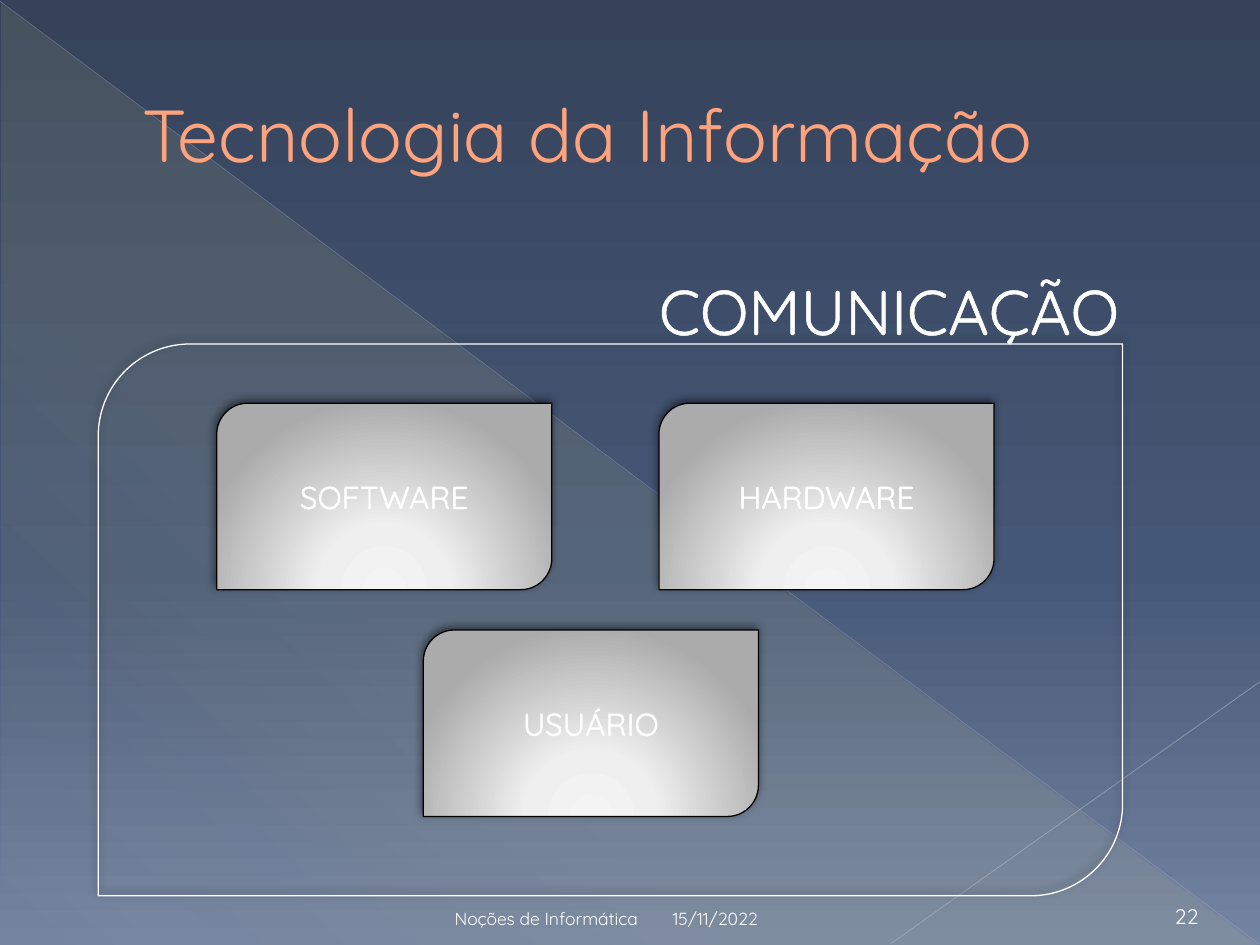
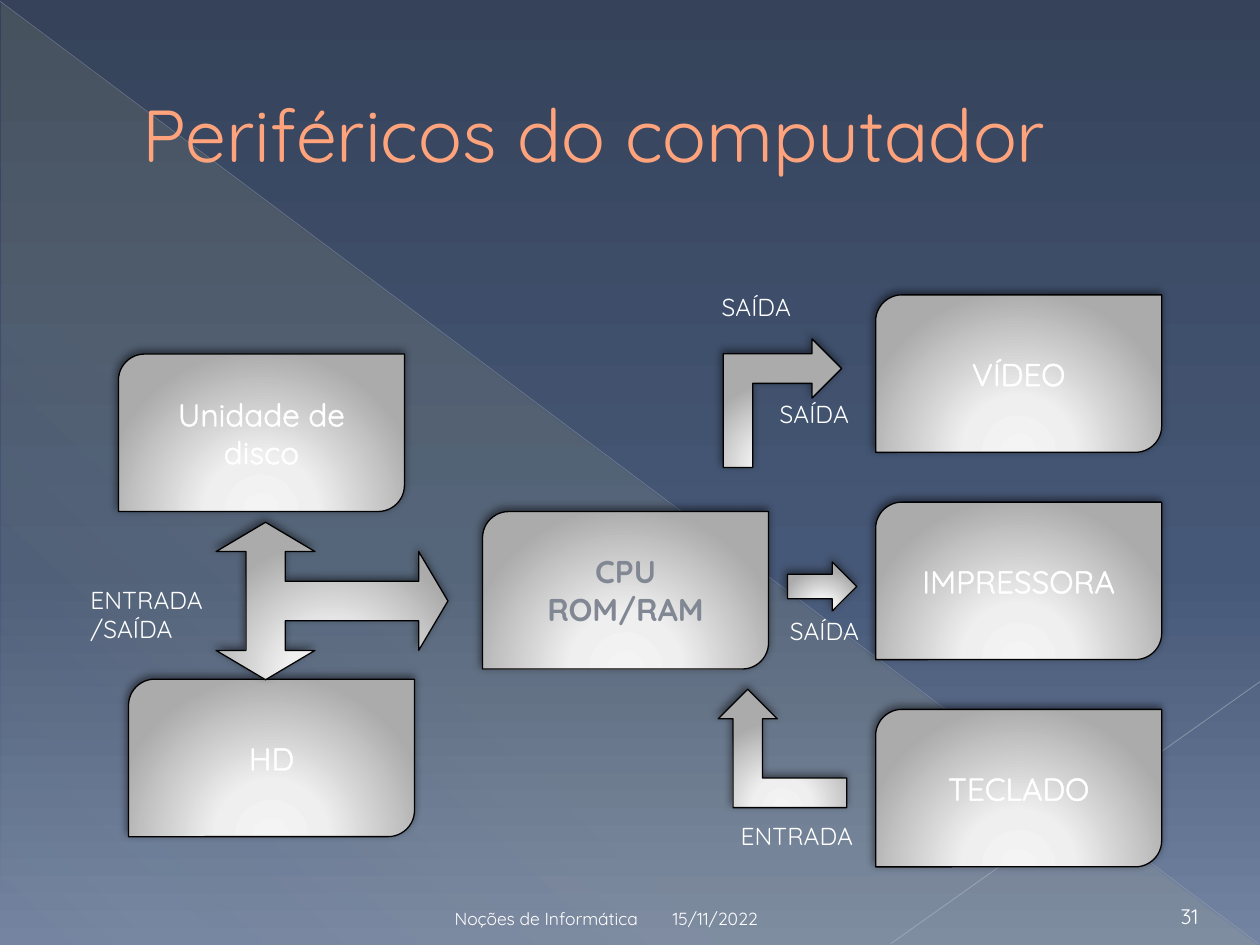
from lxml.etree import SubElement as Sub
from pptx import Presentation
from pptx.dml.color import RGBColor
from pptx.enum.shapes import MSO_CONNECTOR as Link, MSO_SHAPE as Form
from pptx.enum.text import MSO_ANCHOR as Anchor, PP_ALIGN as Align
from pptx.oxml import parse_xml
from pptx.oxml.ns import nsdecls, qn
from pptx.util import Inches, Pt

FONT = "Quicksand"
HUE = {"white": "FFFFFF", "black": "000000", "title": "FFA37C", "rim": "B05D26",
       "cpu": "818894", "long": "BABDC4", "short": "C1C4CA"}

# Gradient stops: position, colour, opacity (all in percent)
SKY = [(0, "35425A", 100), (60, "465877", 100), (100, "7383A2", 100)]
GLOW = [(0, "FFF39D", 10), (70, "FFF39D", 8), (100, "FFF39D", 1)]
STEEL = [(0, "F4F4F4", 100), (34, "EFEFEF", 100), (100, "ABABAB", 100)]

# Diagonal lines: start, end, colour, width, opacity
RAYS = [((0, 0.01), (9.99, 7.49), "long", 0.39, 35),
        ((10, 5.41), (7.07, 7.49), "short", 0.47, 45)]
COURSE, DATE = "Noções de Informática", "15/11/2022"

FRAME = (0.78, 2.73, 8.13, 4.38)
PARTS_SIZE = (2.66, 1.48)
PARTS = [("HARDWARE", 5.23, 3.2), ("SOFTWARE", 1.72, 3.2), ("USUÁRIO", 3.36, 5)]

UNIT_SIZE = (2.27, 1.25)
UNITS = [("Unidade de disco", 0.94, 2.81), ("HD", 1.02, 5.39)]
CPU = ("CPU\vROM/RAM", 3.83, 4.06)
OUTER = ["VÍDEO", "IMPRESSORA", "TECLADO"]
OUTER_LEFT, OUTER_TOP, OUTER_STEP = 6.95, 2.34, 1.645

# Arrows: form, place, turn, mirrored, adjustments
ARROWS = [
    (Form.LEFT_RIGHT_UP_ARROW, (2.01, 3.85, 1.25, 1.84), 90, False, (0.25, 0.314, 0.25)),
    (Form.BENT_UP_ARROW, (5.7, 2.73, 1.02, 0.94), 90, True, ()),
    (Form.BENT_UP_ARROW, (5.7, 5.47, 1.02, 0.94), 0, True, ()),
    (Form.UP_ARROW, (6.33, 4.38, 0.39, 0.55), 90, False, ()),
]
FLOWS = [("SAÍDA", (5.63, 2.27, 1.17, 0.34)), ("ENTRADA", (5.78, 6.47, 1.48, 0.34)),
         ("SAÍDA", (6.17, 4.84, 1.17, 0.34)), ("SAÍDA", (6.09, 3.12, 1.17, 0.34)),
         ("ENTRADA/SAÍDA", (0.62, 4.59, 1.17, 0.57))]


def rgb(name):
    return RGBColor.from_string(HUE[name])


def span(*nums):
    return [Inches(n) for n in nums]


def grad(stops, angle=None):
    """Gradient fill: linear at an angle, or round from below the shape."""
    marks = "".join(
        f'<a:gs pos="{pos * 1000}"><a:srgbClr val="{tone}">'
        f'<a:alpha val="{alpha * 1000}"/></a:srgbClr></a:gs>'
        for pos, tone, alpha in stops)
    if angle is None:
        way = ('<a:path path="circle"><a:fillToRect l="50000" t="155000" '
               'r="50000" b="-55000"/></a:path>')
    else:
        way = f'<a:lin ang="{angle * 60000}" scaled="0"/>'
    return parse_xml(f'<a:gradFill {nsdecls("a")} rotWithShape="0">'
                     f'<a:gsLst>{marks}</a:gsLst>{way}</a:gradFill>')


def paint(owner, props, stops, angle=None):
    owner.fill.solid()
    props.replace(props.find(qn("a:solidFill")), grad(stops, angle))


def shade(shape):
    shape.shadow.inherit = False
    glow = shape._element.spPr.find(qn("a:effectLst"))
    cast = Sub(glow, qn("a:outerShdw"), blurRad=str(Pt(5)), dist=str(Pt(2)),
               dir=str(245 * 60000), rotWithShape="0")
    tone = Sub(cast, qn("a:srgbClr"), val=HUE["black"])
    Sub(tone, qn("a:alpha"), val="50000")


def write(shape, text, size, color="white", align=Align.LEFT, anchor=Anchor.TOP,
          bold=False, edge=None):
    """Fill the shape with one paragraph; edge is (colour, width) of the letters."""
    frame = shape.text_frame
    frame.word_wrap = True
    frame.vertical_anchor = anchor
    para = frame.paragraphs[0]
    para.text = text
    para.alignment = align
    font = para.font
    font.name, font.size, font.bold = FONT, Pt(size), bold
    font.color.rgb = rgb(color)
    if edge:
        tone, width = edge
        font._rPr.insert(0, parse_xml(
            f'<a:ln {nsdecls("a")} w="{Pt(width)}"><a:solidFill>'
            f'<a:srgbClr val="{HUE[tone]}"/></a:solidFill></a:ln>'))
    return para


def label(slide, place, *args, **style):
    return write(slide.shapes.add_textbox(*span(*place)), *args, **style)


def block(slide, form, place, filled=True):
    """Outlined shape with a shadow, steel or empty inside."""
    shape = slide.shapes.add_shape(form, *span(*place))
    shape.line.width = Pt(0.75)
    shape.line.color.rgb = rgb("black" if filled else "white")
    if filled:
        paint(shape, shape._element.spPr, STEEL)
    else:
        shape.fill.background()
    shade(shape)
    return shape


def card(slide, text, left, top, size, color="white", bold=False):
    shape = block(slide, Form.ROUND_2_DIAG_RECTANGLE, (left, top, *size))
    write(shape, text, 18, color, Align.CENTER, Anchor.MIDDLE, bold,
          None if bold else ("white", 1.45))


def start(deck, title, number):
    """New slide with background, title and footer."""
    slide = deck.slides.add_slide(deck.slide_layouts[6])
    back = slide.background
    back.fill.solid()
    paint(back, slide._element.cSld.bg.bgPr, SKY, 90)

    wedge = slide.shapes.add_shape(Form.RIGHT_TRIANGLE, *span(0.01, 0.02, 9.98, 7.48))
    paint(wedge, wedge._element.spPr, GLOW, 133)
    wedge.line.fill.background()
    wedge.shadow.inherit = False
    for head, tail, color, width, alpha in RAYS:
        ray = slide.shapes.add_connector(Link.STRAIGHT, *span(*head, *tail))
        ray.line.width = Pt(width)
        ray.line.color.rgb = rgb(color)
        props = ray._element.spPr
        Sub(next(props.iter(qn("a:srgbClr"))), qn("a:alpha"), val=str(alpha * 1000))
        Sub(props, qn("a:effectLst"))

    para = label(slide, (0.5, 0.29, 9, 1.53), title, 42, "title",
                 anchor=Anchor.MIDDLE, edge=("rim", 0.5))
    para._p.get_or_add_pPr().set("marL", str(Inches(0.53)))
    for text, left, width, size, align in [
            (DATE, 5.24, 2.33, 10, Align.LEFT),
            (COURSE, 0.5, 4.66, 10, Align.RIGHT),
            (number, 9.06, 0.55, 12, Align.RIGHT)]:
        label(slide, (left, 7.09, width, 0.33), text, size,
              align=align, anchor=Anchor.BOTTOM)
    return slide


def tech(deck):
    slide = start(deck, "Tecnologia da Informação", "22")
    block(slide, Form.ROUND_2_DIAG_RECTANGLE, FRAME, filled=False)
    label(slide, (1.95, 2.11, 7.03, 0.71), "COMUNICAÇÃO", 36,
          align=Align.RIGHT, edge=("white", 1.45))
    for part in PARTS:
        card(slide, *part, PARTS_SIZE)


def gear(deck):
    slide = start(deck, "Periféricos do computador", "31")
    card(slide, *CPU, UNIT_SIZE, "cpu", bold=True)
    for unit in UNITS:
        card(slide, *unit, UNIT_SIZE)
    for row, text in enumerate(OUTER):
        card(slide, text, OUTER_LEFT, OUTER_TOP + row * OUTER_STEP, UNIT_SIZE)
    for form, place, turn, mirror, bends in ARROWS:
        arrow = block(slide, form, place)
        arrow.rotation = turn
        for i, bend in enumerate(bends):
            arrow.adjustments[i] = bend
        if mirror:
            arrow._element.spPr.xfrm.set("flipH", "1")
    for text, place in FLOWS:
        label(slide, place, text, 14)


def main():
    deck = Presentation()
    deck.slide_width, deck.slide_height = span(10, 7.5)
    tech(deck)
    gear(deck)
    deck.save("out.pptx")


if __name__ == "__main__":
    main()
